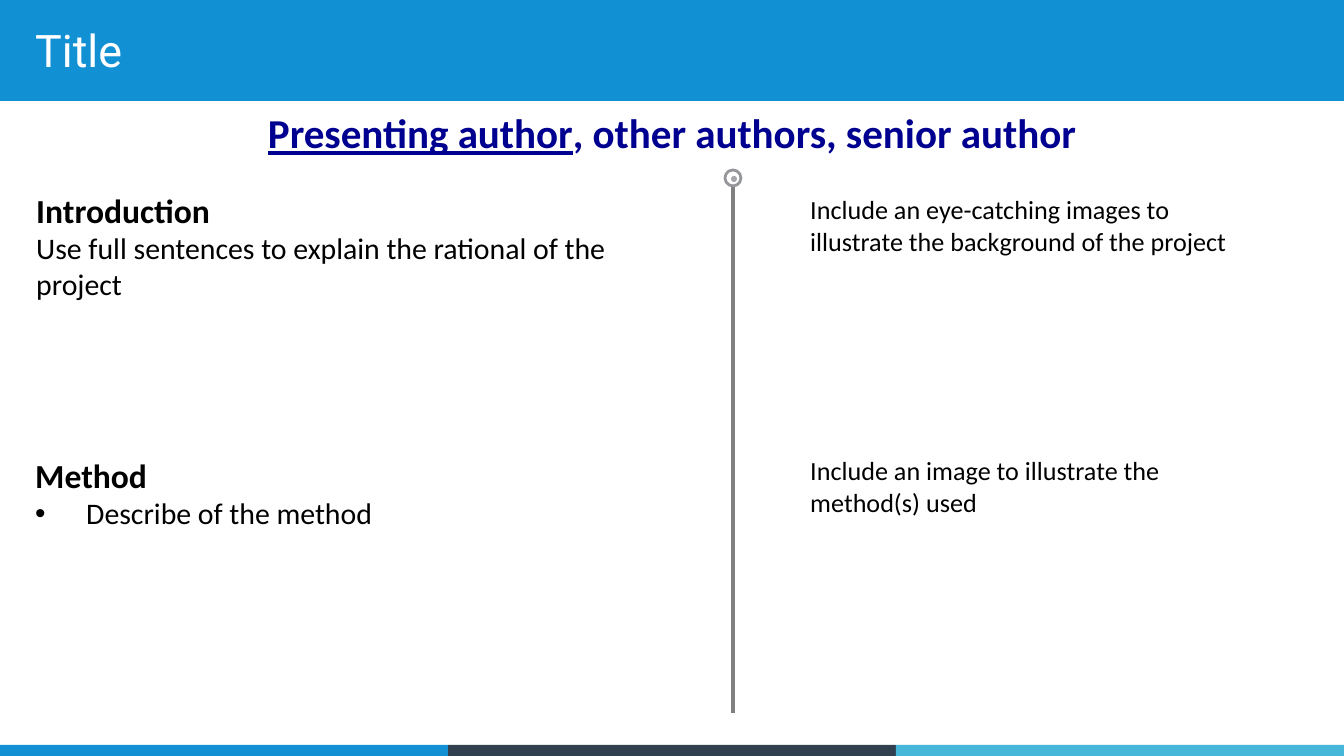
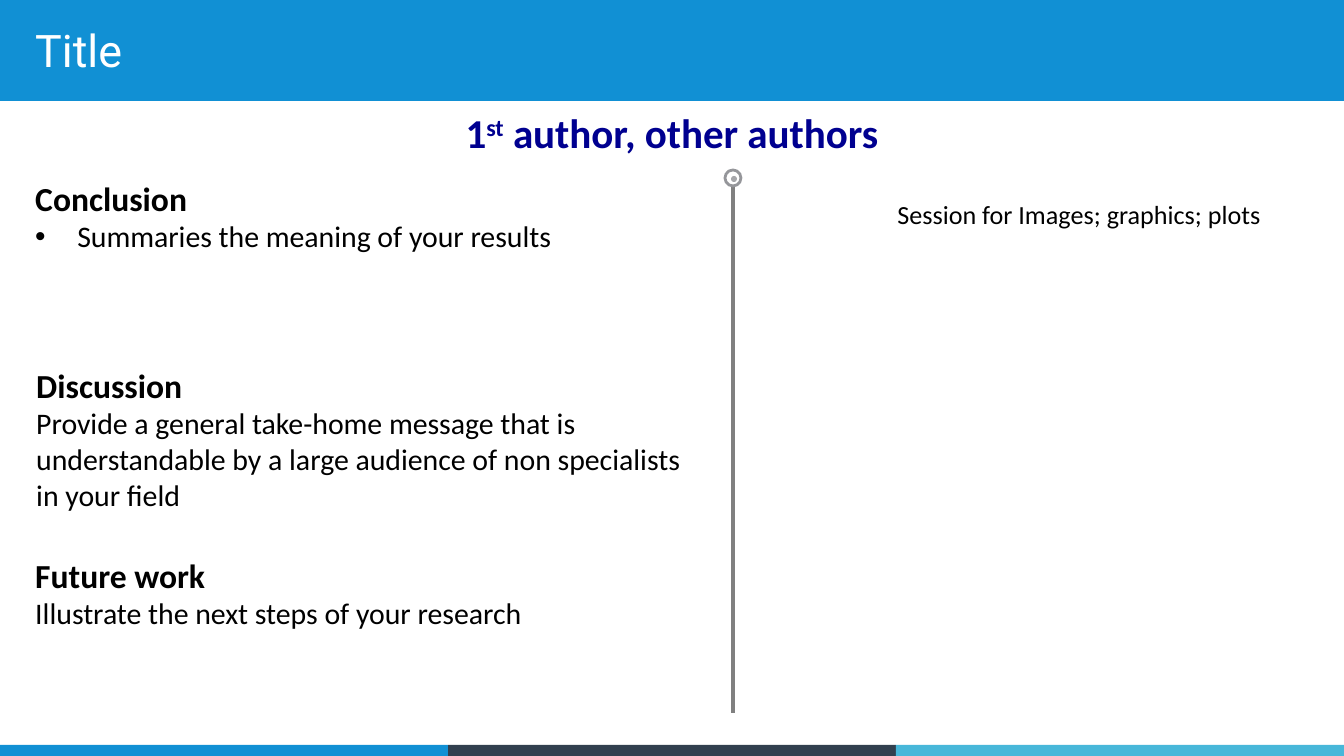
from lxml import etree
from pptx import Presentation
from pptx.dml.color import RGBColor
from pptx.enum.shapes import MSO_CONNECTOR, MSO_SHAPE
from pptx.enum.text import MSO_ANCHOR, MSO_AUTO_SIZE, PP_ALIGN
from pptx.oxml.ns import qn
from pptx.util import Pt

RECT, OVAL, LINE = MSO_SHAPE.RECTANGLE, MSO_SHAPE.OVAL, MSO_CONNECTOR.STRAIGHT
CENTER, MIDDLE, GROW = PP_ALIGN.CENTER, MSO_ANCHOR.MIDDLE, MSO_AUTO_SIZE.SHAPE_TO_FIT_TEXT

PX = 914400 / 134.4
W, H = 1344, 756
BLUE, SLATE, AQUA = "1190D4", "31404F", "47B7D9"
WHITE, BLACK, NAVY = "FFFFFF", "000000", "000090"
FOOTER_H = 11
AXIS_X = 733

HEADING = dict(size=18, bold=True)
BODY = dict(size=16)
CAPTION = dict(size=14)
AUTHOR = dict(size=22, bold=True, color=NAVY)

# Section: box, heading, body, bullet indent (0 for plain text)
# Caption: box, text
slides = [
    dict(
        authors=[("Presenting author", dict(underline=True)),
                 (", other authors, senior author", {})],
        sections=[
            ((23, 183, 664, 126), "Introduction",
             "Use full sentences to explain the rational of the project", 0),
            ((22, 448, 664, 90), "Method", "Describe of the method", 51),
        ],
        captions=[
            ((797, 187, 446, 77),
             "Include an eye-catching images to illustrate the background of the project"),
            ((797, 448, 446, 77), "Include an image to illustrate the method(s) used"),
        ],
    ),
    dict(
        authors=[("1", {}), ("st", dict(raised=True)), (" author, other authors", {})],
        sections=[
            ((22, 171, 687, 90), "Conclusion", "Summaries the meaning of your results", 42),
            ((23, 358, 687, 163), "Discussion",
             "Provide a general take-home message that is understandable by a large "
             "audience of non specialists in your field", 0),
            ((22, 548, 687, 90), "Future work", "Illustrate the next steps of your research", 0),
        ],
        captions=[((884, 192, 446, 46), "Session for Images; graphics; plots")],
    ),
]


def add_figure(shapes, kind, box, fill, line=None):
    sp = shapes.add_shape(kind, *[round(v * PX) for v in box])
    sp.shadow.inherit = False
    sp.fill.solid()
    sp.fill.fore_color.rgb = RGBColor.from_string(fill)
    if line:
        sp.line.color.rgb = RGBColor.from_string(line)
        sp.line.width = Pt(1.5)
    else:
        sp.line.fill.background()


def add_text(s, box, paragraphs):
    """Add a text box; each paragraph is a list of (text, style) runs."""
    tf = s.shapes.add_textbox(*[round(v * PX) for v in box]).text_frame
    tf.word_wrap = True
    tf.auto_size = GROW
    for i, runs in enumerate(paragraphs):
        p = tf.add_paragraph() if i else tf.paragraphs[0]
        for text, style in runs:
            r = p.add_run()
            r.text = text
            r.font.name = style.get("font", "Calibri")
            r.font.size = Pt(style["size"])
            r.font.bold = style.get("bold", False)
            r.font.color.rgb = RGBColor.from_string(style.get("color", BLACK))
            if style.get("underline"):
                r.font.underline = True
            if style.get("raised"):
                r._r.get_or_add_rPr().set("baseline", "30000")
    return tf


prs = Presentation()
prs.slide_width, prs.slide_height = round(W * PX), round(H * PX)

for content in slides:
    s = prs.slides.add_slide(prs.slide_layouts[6])

    # Title band and footer strip
    add_figure(s.shapes, RECT, (0, 0, W, 101), BLUE)
    footer = s.shapes.add_group_shape()
    for i, color in enumerate([BLUE, SLATE, AQUA]):
        add_figure(footer.shapes, RECT, (i * W // 3, H - FOOTER_H, W // 3, FOOTER_H), color)
    tf = add_text(s, (22, 5, 1117, 95), [[("Title", dict(font="Roboto", size=24, color=WHITE))]])
    tf.auto_size = MSO_AUTO_SIZE.NONE
    tf.vertical_anchor = MIDDLE
    tf.paragraphs[0].line_spacing = 0.9

    # Authors
    runs = [(text, AUTHOR | extra) for text, extra in content["authors"]]
    tf = add_text(s, (23, 101, 1298, 63), [runs])
    tf.paragraphs[0].alignment = CENTER

    # Divider between text and images
    divider = s.shapes.add_group_shape()
    axis = divider.shapes.add_connector(
        LINE, *[round(v * PX) for v in (AXIS_X, 183, AXIS_X, 713)])
    axis.line.color.rgb = RGBColor.from_string("808080")
    axis.line.width = Pt(2)
    etree.SubElement(axis._element.spPr, qn("a:effectLst"))
    add_figure(divider.shapes, OVAL, (AXIS_X - 8, 170, 16, 16), WHITE, "95969A")
    add_figure(divider.shapes, OVAL, (AXIS_X - 2, 176, 6, 6), "A6A7AA")

    for box, heading, body, indent in content["sections"]:
        tf = add_text(s, box, [[(heading, HEADING)], [(body, BODY)]])
        if indent:
            pPr = tf.paragraphs[1]._p.get_or_add_pPr()
            pPr.set("marL", str(round(indent * PX)))
            pPr.set("indent", str(-round(indent * PX)))
            etree.SubElement(pPr, qn("a:buFont")).set("typeface", "Arial")
            etree.SubElement(pPr, qn("a:buChar")).set("char", "•")

    for box, text in content["captions"]:
        add_text(s, box, [[(text, CAPTION)]])

prs.save("out.pptx")
